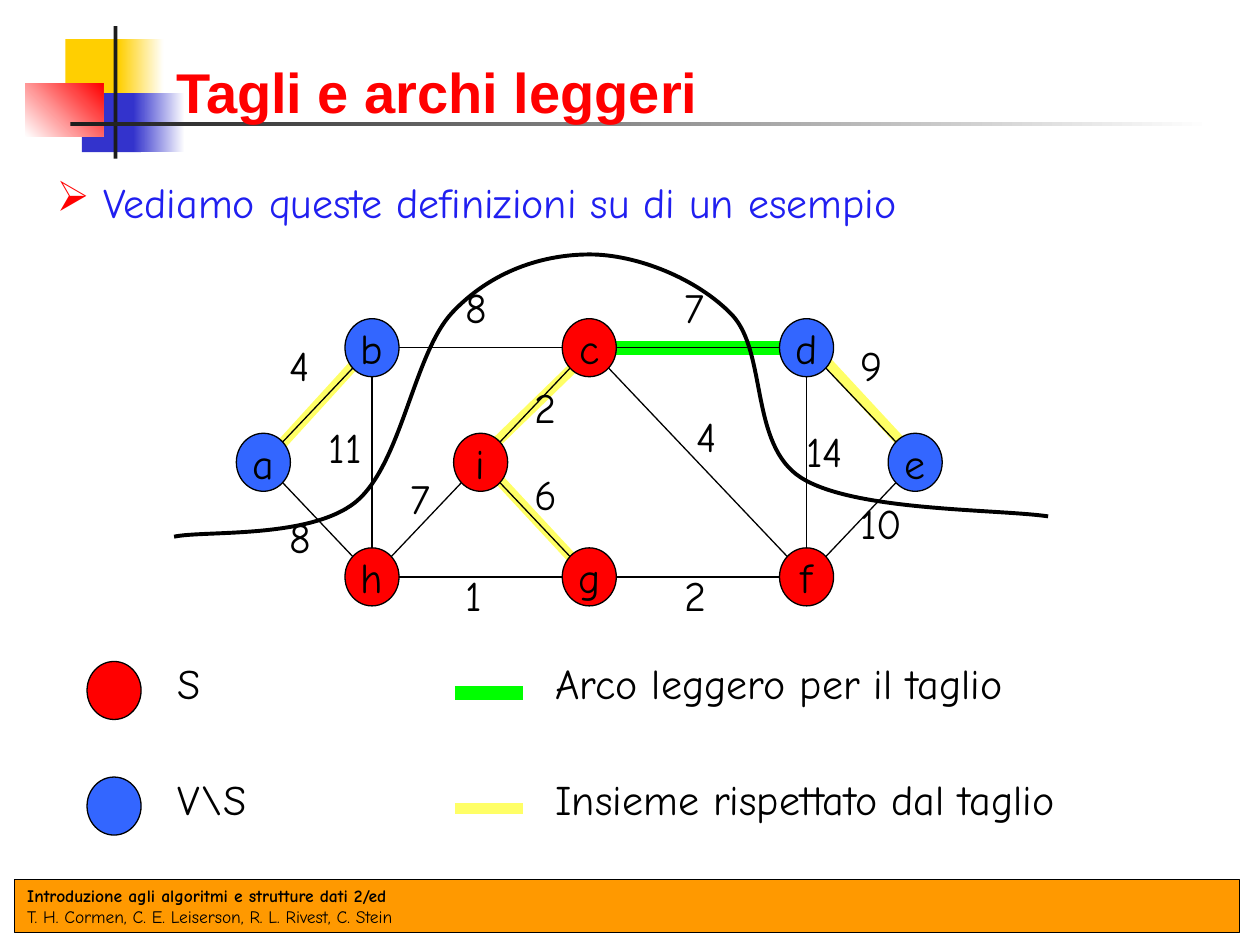
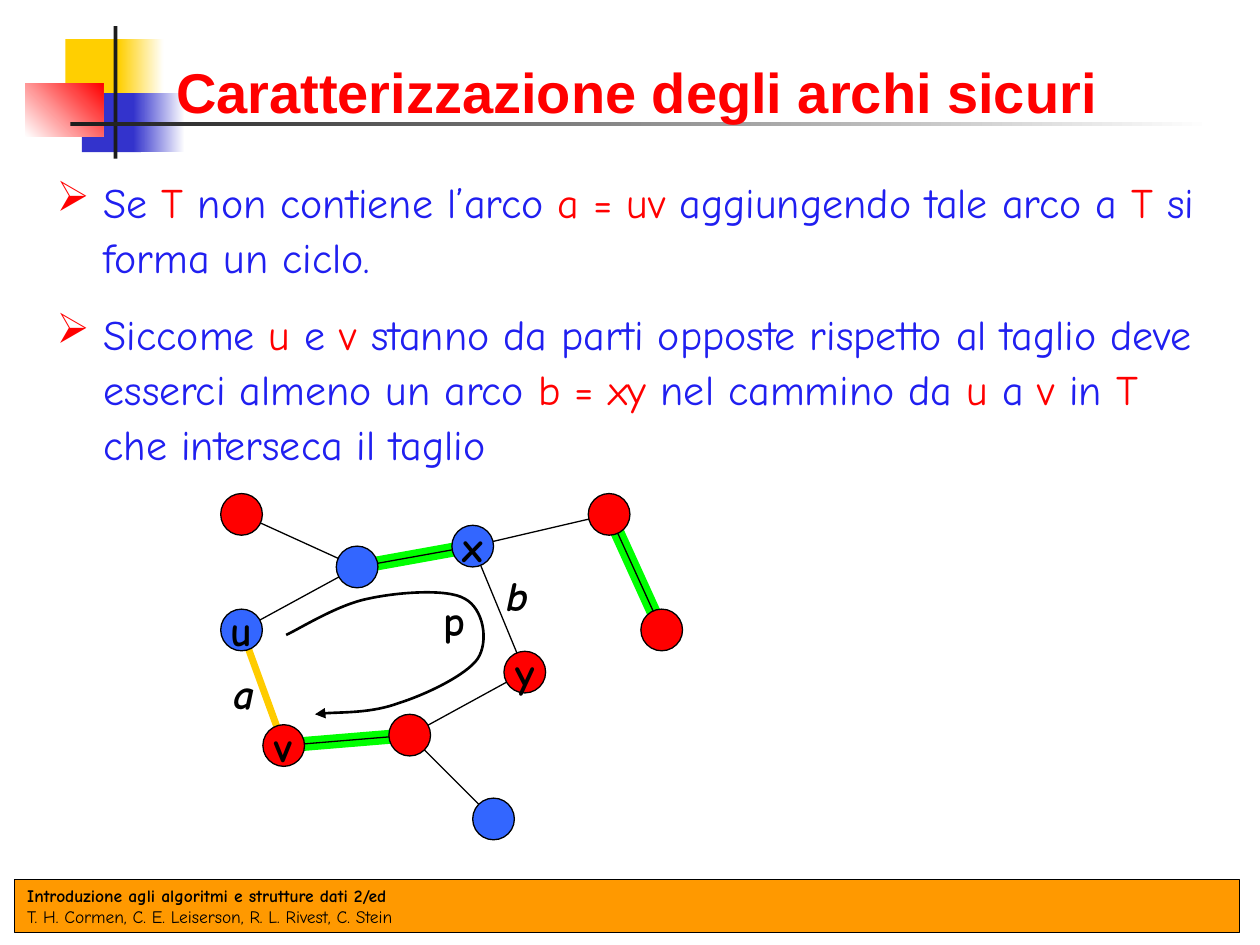
from lxml import etree
from pptx import Presentation
from pptx.dml.color import RGBColor
from pptx.enum import shapes, text
from pptx.oxml.ns import qn
from pptx.util import Cm, Pt

RED = RGBColor(0xFF, 0x00, 0x00)
BLUE = RGBColor(0x33, 0x66, 0xFF)
INK = RGBColor(0x20, 0x1F, 0xF0)
BLACK = RGBColor(0x00, 0x00, 0x00)
WHITE = RGBColor(0xFF, 0xFF, 0xFF)
DARK = RGBColor(0x1C, 0x1C, 0x1C)
GREEN = RGBColor(0x00, 0xFF, 0x00)
YELLOW = RGBColor(0xFF, 0xFF, 0x66)
AMBER = RGBColor(0xFF, 0xCC, 0x00)
GOLD = RGBColor(0xFF, 0xCF, 0x01)
NAVY = RGBColor(0x33, 0x33, 0xCC)
ORANGE = RGBColor(0xFF, 0x99, 0x00)
HEAD_FONT, BODY_FONT = "Arial", "Comic Neue"

FOOTER = ("Introduzione agli algoritmi e strutture dati 2/ed",
          "T. H. Cormen, C. E. Leiserson, R. L. Rivest, C. Stein")
DECOR = [
    (1.32, 0.79, 1.22, 1.19, [GOLD], 0),
    (2.39, 0.79, 0.91, 1.19, [GOLD, WHITE], 0),
    (1.65, 1.88, 1.19, 1.19, [NAVY], 0),
    (2.69, 1.88, 1.04, 1.19, [NAVY, WHITE], 0),
    (0.51, 1.68, 1.57, 1.07, [WHITE, RED], 45),
    (2.29, 0.53, 0.08, 2.67, [DARK], 0),
    (1.42, 2.46, 23.01, 0.08, [DARK, WHITE], 0),
]

CUT_TITLE = "Tagli e archi leggeri"
CUT_BODY = [["Vediamo queste definizioni su di un esempio"]]
CUT_GRID = {"a": (0, 1), "b": (1, 0), "c": (3, 0), "d": (5, 0), "e": (6, 1),
            "f": (5, 2), "g": (3, 2), "h": (1, 2), "i": (2, 1)}
CUT_NODES = {name: (5.31 + 2.19 * col, 7.01 + 2.31 * row,
                    RED if name in "cfghi" else BLUE, name)
             for name, (col, row) in CUT_GRID.items()}
CUT_EDGES = "ha bh ba bc ih ci hg gi fc gf cd df ed ef".split()
CUT_HIGHLIGHTS = [
    ((9.98, 8.94), (11.73, 7.24), YELLOW, 6),
    ((11.53, 11.25), (9.98, 9.58), YELLOW, 6),
    ((18.19, 8.94), (16.43, 7.04), YELLOW, 6),
    ((5.69, 8.94), (7.24, 7.24), YELLOW, 6),
    ((12.42, 7.01), (15.72, 7.01), GREEN, 8),
]
CUT_WEIGHTS = [
    ("4", 5.59, 6.71, 1.04), ("10", 17.09, 9.91, 1.42), ("14", 16, 8.46, 1.45),
    ("2", 13.54, 11.35, 1.04), ("4", 13.79, 8.15, 1.04), ("7", 13.54, 5.56, 1.04),
    ("6", 10.52, 9.32, 1.04), ("2", 10.52, 7.57, 1.04), ("1", 9.14, 11.35, 0.89),
    ("7", 8.03, 9.4, 1.04), ("8", 9.14, 5.56, 1.04), ("11", 6.38, 8.38, 1.3),
    ("8", 5.59, 10.19, 1.04), ("9", 17.09, 6.71, 1.04),
]
CUT_CURVE = [(3.51, 10.82),
             (4.11, 10.69), (6.22, 10.87), (7.16, 10.13),
             (8.1, 9.37), (8.33, 7.14), (9.12, 6.3),
             (9.91, 5.46), (10.95, 5.13), (11.89, 5.13),
             (12.83, 5.13), (14.05, 5.61), (14.76, 6.35),
             (15.47, 7.11), (15.11, 8.97), (16.15, 9.63),
             (17.22, 10.31), (20.09, 10.26), (21.13, 10.41)]
LEGEND = [
    ("S", 1.75, RED, "Arco leggero per il taglio", 12.7, GREEN, 8),
    ("V\\S", 2.74, BLUE, "Insieme rispettato dal taglio", 13.69, YELLOW, 6),
]
LEGEND_STEP = 2.33

SAFE_TITLE = "Caratterizzazione degli archi sicuri"
SAFE_BODY = [
    ["Se ", "T", " non contiene l’arco ", "a = uv ", "aggiungendo tale arco a ",
     "T", " si forma un ciclo."],
    ["Siccome ", "u", " e ", "v",
     " stanno da parti opposte rispetto al taglio deve esserci almeno un arco ",
     "b = xy ", "nel cammino da ", "u ", "a ", "v", " in ", "T",
     " che interseca il taglio"],
]
SAFE_NODES = {
    "low": (9.95, 16.51, BLUE, ""), "v": (5.72, 15.03, RED, "v"),
    "bottom": (8.26, 14.82, RED, ""), "y": (10.58, 13.55, RED, "y"),
    "x": (9.53, 11.01, BLUE, "x"), "corner": (4.87, 10.37, RED, ""),
    "u": (4.87, 12.7, BLUE, "u"), "top": (12.28, 10.37, RED, ""),
    "hub": (7.2, 11.43, BLUE, ""), "right": (13.34, 12.7, RED, ""),
}
SAFE_EDGES = [("right", "top"), ("x", "hub"), ("bottom", "low"), ("hub", "u"),
              ("x", "top"), ("y", "bottom"), ("bottom", "v"), ("y", "x"),
              ("corner", "hub")]
SAFE_HIGHLIGHTS = [
    (SAFE_NODES[start][:2], SAFE_NODES[end][:2], color, weight)
    for start, end, color, weight in [
        ("v", "u", AMBER, 4), ("top", "right", GREEN, 8),
        ("v", "bottom", GREEN, 8), ("hub", "x", GREEN, 8)]]
SAFE_CURVE = [(5.77, 12.8),
              (6.05, 12.67), (6.81, 12.19), (7.42, 12.07),
              (8, 11.94), (9.02, 11.86), (9.37, 12.07),
              (9.75, 12.27), (9.86, 12.93), (9.63, 13.28),
              (9.4, 13.61), (8.59, 14), (8.05, 14.17),
              (7.49, 14.38), (6.63, 14.35), (6.35, 14.4)]
SAFE_LABELS = [("p", 8.69, 11.86, 0.99, False), ("a", 4.45, 13.34, 0.94, True),
               ("b", 9.96, 11.35, 0.94, True)]


def style(r, size=24, color=BLACK, bold=False, italic=False, font=BODY_FONT):
    r.font.name, r.font.size = font, Pt(size)
    r.font.bold, r.font.italic = bold, italic
    r.font.color.rgb = color


def add_shape(s, kind, x, y, w, h, colors, outlined=True, angle=0):
    sp = s.shapes.add_shape(kind, Cm(x), Cm(y), Cm(w), Cm(h))
    sp.shadow.inherit = False
    if len(colors) == 1:
        sp.fill.solid()
        sp.fill.fore_color.rgb = colors[0]
    else:
        sp.fill.gradient()
        sp.fill.gradient_angle = angle
        for stop, color in zip(sp.fill.gradient_stops, colors):
            stop.color.rgb = color
    if outlined:
        sp.line.color.rgb = BLACK
        sp.line.width = Pt(0.75)
    else:
        sp.line.fill.background()
    return sp


def add_line(s, start, end, color=BLACK, weight=0.75):
    ends = [Cm(v) for v in (*start, *end)]
    line = s.shapes.add_connector(shapes.MSO_CONNECTOR.STRAIGHT, *ends)
    line.line.color.rgb = color
    line.line.width = Pt(weight)
    etree.SubElement(line._element.spPr, qn("a:effectLst"))


def add_node(s, x, y, w, h, color, name="", bold=False):
    sp = add_shape(s, shapes.MSO_SHAPE.OVAL, x - w / 2, y - h / 2, w, h, [color])
    if name:
        tf = sp.text_frame
        tf.text = name
        tf.word_wrap = False
        tf.vertical_anchor = text.MSO_ANCHOR.MIDDLE
        p = tf.paragraphs[0]
        p.alignment = text.PP_ALIGN.CENTER
        style(p.runs[0], bold=bold)


def add_label(s, label, x, y, w, wrap=False, **look):
    tf = s.shapes.add_textbox(Cm(x), Cm(y), Cm(w), Cm(1.27)).text_frame
    tf.text = label
    tf.word_wrap = wrap
    tf.auto_size = text.MSO_AUTO_SIZE.SHAPE_TO_FIT_TEXT
    style(tf.paragraphs[0].runs[0], **look)


def add_curve(s, points, weight, arrow=False):
    start, *rest = [(Cm(x), Cm(y)) for x, y in points]
    builder = s.shapes.build_freeform(*start)
    builder.add_line_segments(rest, close=False)
    sp = builder.convert_to_shape()
    segments = sp._element.findall(".//" + qn("a:lnTo"))
    for trio in zip(*[iter(segments)] * 3):
        bezier = etree.Element(qn("a:cubicBezTo"))
        trio[0].addprevious(bezier)
        for segment in trio:
            bezier.append(segment[0])
            segment.getparent().remove(segment)
    sp.shadow.inherit = False
    sp.fill.background()
    sp.line.color.rgb = BLACK
    sp.line.width = Pt(weight)
    if arrow:
        etree.SubElement(sp.line._get_or_add_ln(), qn("a:tailEnd"), type="triangle")


def add_graph(s, nodes, edges, highlights, w, h, bold=False):
    for highlight in highlights:
        add_line(s, *highlight)
    for start, end in edges:
        add_line(s, nodes[start][:2], nodes[end][:2])
    for x, y, color, name in nodes.values():
        add_node(s, x, y, w, h, color, name, bold)


def add_slide(prs):
    s = prs.slides.add_slide(prs.slide_layouts[6])
    footer = add_shape(s, shapes.MSO_SHAPE.RECTANGLE, 0.3, 17.73, 24.69, 1.07, [ORANGE])
    tf = footer.text_frame
    tf.vertical_anchor = text.MSO_ANCHOR.MIDDLE
    p = tf.paragraphs[0]
    p.text = "\v".join(FOOTER)
    p.alignment = text.PP_ALIGN.LEFT
    for r, bold in zip(p.runs, (True, False)):
        style(r, 10, bold=bold)
    for x, y, w, h, colors, angle in DECOR:
        add_shape(s, shapes.MSO_SHAPE.RECTANGLE, x, y, w, h, colors, False, angle)
    return s


def add_texts(s, title, body, body_height):
    tf = s.shapes.add_textbox(Cm(3.3), Cm(0.74), Cm(20.93), Cm(1.9)).text_frame
    tf.text = title
    tf.word_wrap = True
    tf.vertical_anchor = text.MSO_ANCHOR.BOTTOM
    style(tf.paragraphs[0].runs[0], 32, RED, bold=True, font=HEAD_FONT)

    tf = s.shapes.add_textbox(Cm(0.89), Cm(3.33), Cm(23.6), Cm(body_height)).text_frame
    tf.word_wrap = True
    for i, parts in enumerate(body):
        p = tf.add_paragraph() if i else tf.paragraphs[0]
        p.line_spacing = 1.1
        p.space_before = Pt(12 if i else 0)
        pPr = p._p.get_or_add_pPr()
        pPr.set("marL", str(Cm(0.95)))
        pPr.set("indent", str(-Cm(0.95)))
        bullet_color = etree.SubElement(pPr, qn("a:buClr"))
        etree.SubElement(bullet_color, qn("a:srgbClr"), val=str(RED))
        etree.SubElement(pPr, qn("a:buChar"), char="➢")
        for j, part in enumerate(parts):
            r = p.add_run()
            r.text = part
            style(r, color=RED if j % 2 else INK)


def build_cut_slide(prs):
    s = add_slide(prs)
    add_graph(s, CUT_NODES, CUT_EDGES, CUT_HIGHLIGHTS, 1.09, 1.17)
    for weight in CUT_WEIGHTS:
        add_label(s, *weight)
    add_curve(s, CUT_CURVE, 2.25)
    for i, (side, side_w, fill, meaning, meaning_w, color, weight) in enumerate(LEGEND):
        dy = i * LEGEND_STEP
        add_line(s, (9.17, 13.97 + dy), (10.54, 13.97 + dy), color, weight)
        add_node(s, 2.3, 13.92 + dy, 1.09, 1.17, fill)
        add_label(s, side, 3.33, 13.13 + dy, side_w, wrap=True)
        add_label(s, meaning, 10.95, 13.13 + dy, meaning_w, wrap=True)
    add_texts(s, CUT_TITLE, CUT_BODY, 2.01)


def build_safe_slide(prs):
    s = add_slide(prs)
    add_graph(s, SAFE_NODES, SAFE_EDGES, SAFE_HIGHLIGHTS, 0.84, 0.84, bold=True)
    add_curve(s, SAFE_CURVE, 1.5, arrow=True)
    for label, x, y, w, italic in SAFE_LABELS:
        add_label(s, label, x, y, w, bold=True, italic=italic)
    add_texts(s, SAFE_TITLE, SAFE_BODY, 14.4)


def main():
    prs = Presentation()
    prs.slide_width, prs.slide_height = Cm(25.4), Cm(19.05)
    build_cut_slide(prs)
    build_safe_slide(prs)
    prs.save("out.pptx")


if __name__ == "__main__":
    main()
